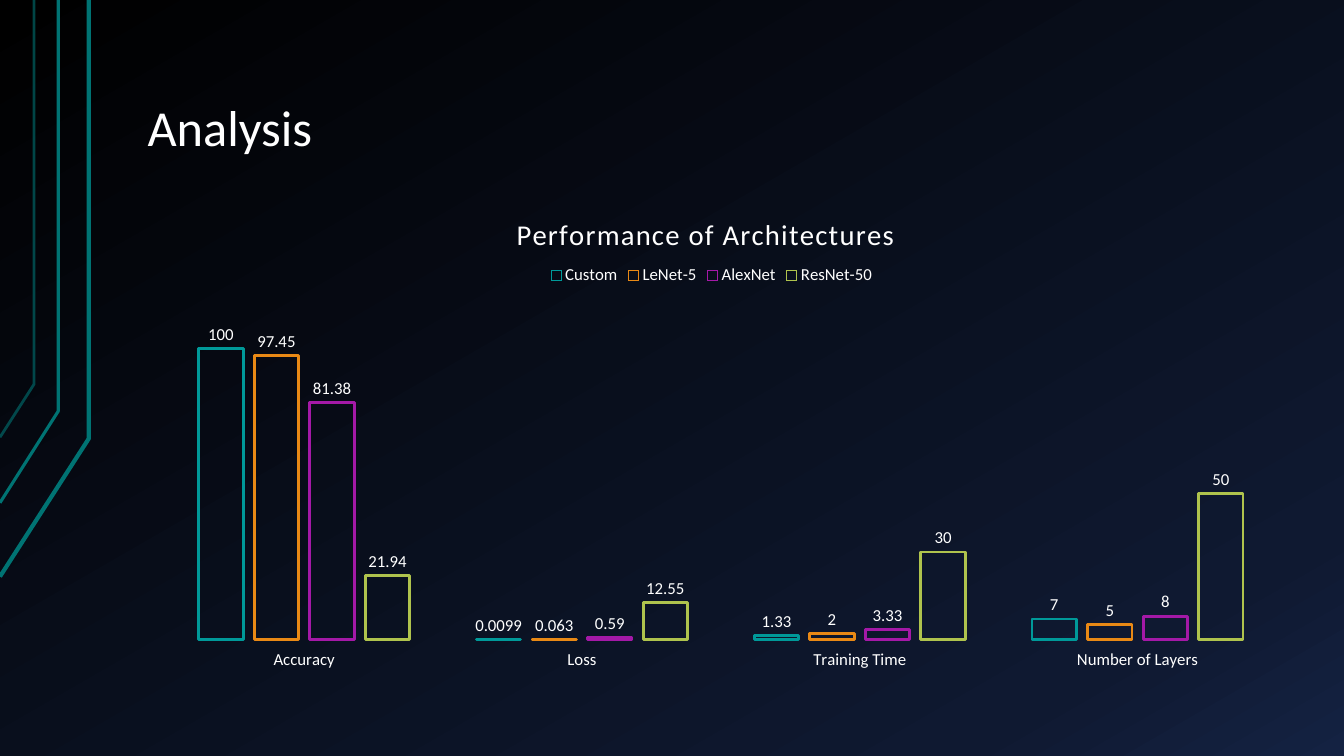
from lxml.etree import SubElement
from pptx import Presentation
from pptx.chart.data import CategoryChartData
from pptx.dml.color import RGBColor
from pptx.enum.chart import (XL_CHART_TYPE, XL_LABEL_POSITION, XL_LEGEND_POSITION,
                             XL_TICK_LABEL_POSITION, XL_TICK_MARK)
from pptx.enum.text import MSO_ANCHOR
from pptx.oxml import parse_xml
from pptx.oxml.ns import nsdecls, qn
from pptx.util import Cm, Pt

# Content
HEADING = "Analysis"
CHART_HEADING = "Performance of Architectures"
MEASURES = ["Accuracy", "Loss", "Training Time", "Number of Layers"]
ARCHITECTURES = [
    ("Custom", "teal", (100, 0.0099, 1.33, 7)),
    ("LeNet-5", "orange", (97.45, 0.063, 2, 5)),
    ("AlexNet", "purple", (81.38, 0.59, 3.33, 8)),
    ("ResNet-50", "lime", (21.94, 12.55, 30, 50)),
]

# Look
FONT = "Calibri"
COLORS = {
    "white": "FFFFFF", "teal": "009999", "orange": "E98915", "purple": "A419A7",
    "lime": "AFC34D", "stripe": "007373",
    "black": "000000", "navy": "0F1931", "blue": "142242",
}
BACKDROP = [(0, "black"), (0.85, "navy"), (1, "blue")]
# Stripes: x of the upright, y of the bend, y at the left edge (cm), width (pt), opacity (%)
STRIPES = [(2.24, 11.05, 14.53, 3, 100), (1.47, 10.36, 12.67, 2.25, 100),
           (0.86, 9.68, 11.02, 2, 60)]
LEFT, WIDTH = Cm(3.39), Cm(28.78)


def rgb(name):
    return RGBColor.from_string(COLORS[name])


def style_font(font, size, color="white"):
    font.name, font.size, font.bold = FONT, Pt(size), False
    font.color.rgb = rgb(color)


def write(frame, text, size, color="white", line_spacing=None, tracking=None):
    paragraph = frame.paragraphs[0]
    paragraph.line_spacing = line_spacing
    run = paragraph.add_run()
    run.text = text
    style_font(run.font, size, color)
    if tracking:
        run.font._element.set("spc", str(tracking))


def place(part, before, **fractions):
    """Fix a chart part at fractions of the chart area."""
    for layout in part.findall(qn("c:layout")):
        part.remove(layout)
    layout = parse_xml(f"<c:layout {nsdecls('c')}><c:manualLayout/></c:layout>")
    if "w" in fractions:
        SubElement(layout[0], qn("c:layoutTarget")).set("val", "inner")
    for axis in "xy":
        SubElement(layout[0], qn(f"c:{axis}Mode")).set("val", "edge")
    for key, value in fractions.items():
        SubElement(layout[0], qn(f"c:{key}")).set("val", str(value))
    before.addprevious(layout)


def add_backdrop(slide):
    fill = slide.background.fill
    fill.gradient()
    fill.gradient_angle = 300
    stops = slide.element.find(".//" + qn("a:gsLst"))
    stops.append(parse_xml(f'<a:gs {nsdecls("a")} pos="0"><a:srgbClr val="000000"/></a:gs>'))
    for stop, (position, color) in zip(fill.gradient_stops, BACKDROP):
        stop.position = position
        stop.color.rgb = rgb(color)


def add_stripe(slide, x, bend, foot, width, opacity):
    builder = slide.shapes.build_freeform(0, Cm(foot))
    builder.add_line_segments([(Cm(x), Cm(bend)), (Cm(x), 0)], close=False)
    stripe = builder.convert_to_shape()
    stripe.shadow.inherit = False
    stripe.fill.background()
    stripe.line.color.rgb = rgb("stripe")
    stripe.line.width = Pt(width)
    if opacity < 100:
        color = stripe.line._ln.find(".//" + qn("a:srgbClr"))
        SubElement(color, qn("a:alpha")).set("val", str(opacity * 1000))


def add_heading(slide):
    frame = slide.shapes.add_textbox(LEFT, Cm(0.76), WIDTH, Cm(3.4)).text_frame
    frame.word_wrap = True
    frame.vertical_anchor = MSO_ANCHOR.BOTTOM
    frame.margin_left = frame.margin_right = Cm(0.33)
    frame.margin_top = frame.margin_bottom = Cm(0.18)
    write(frame, HEADING, size=36, line_spacing=0.9)


def add_performance_chart(slide):
    data = CategoryChartData()
    data.categories = MEASURES
    for name, _, values in ARCHITECTURES:
        data.add_series(name, values)
    chart = slide.shapes.add_chart(XL_CHART_TYPE.COLUMN_CLUSTERED, LEFT, Cm(4.72),
                                   WIDTH, Cm(12.4), data).chart
    style_font(chart.font, 12)

    # Title and legend
    title = chart.chart_title
    write(title.text_frame, CHART_HEADING, size=20.5, tracking=100)
    place(title._element, title._element.find(qn("c:overlay")), x=0.33, y=0.045)
    chart.has_legend = True
    legend = chart.legend
    legend.position = XL_LEGEND_POSITION.TOP
    legend.include_in_layout = False
    style_font(legend.font, 12)
    place(legend._element, legend._element.find(qn("c:overlay")), x=0.36, y=0.15)

    # Axes
    measures, scale = chart.category_axis, chart.value_axis
    measures.major_tick_mark = XL_TICK_MARK.NONE
    measures.tick_label_position = XL_TICK_LABEL_POSITION.LOW
    measures.format.line.fill.background()
    style_font(measures.tick_labels.font, 12)
    scale.minimum_scale, scale.maximum_scale = 0, 120
    scale.has_major_gridlines = False
    scale.visible = False

    # Outlined columns
    plot = chart.plots[0]
    plot.gap_width, plot.overlap, plot.vary_by_categories = 150, -25, False
    place(plot._element.getparent(), plot._element, x=0.027, y=0.209, w=0.973, h=0.71)
    for columns, (_, color, _) in zip(plot.series, ARCHITECTURES):
        columns.format.fill.background()
        columns.format.line.color.rgb = rgb(color)
        columns.format.line.width = Pt(2)
        labels = columns.data_labels
        labels.show_value = True
        labels.position = XL_LABEL_POSITION.OUTSIDE_END
        style_font(labels.font, 12)


def main():
    deck = Presentation()
    deck.slide_width, deck.slide_height = Cm(33.87), Cm(19.05)
    slide = deck.slides.add_slide(deck.slide_layouts[6])
    add_backdrop(slide)
    for stripe in STRIPES:
        add_stripe(slide, *stripe)
    add_heading(slide)
    add_performance_chart(slide)
    deck.save("out.pptx")


if __name__ == "__main__":
    main()
